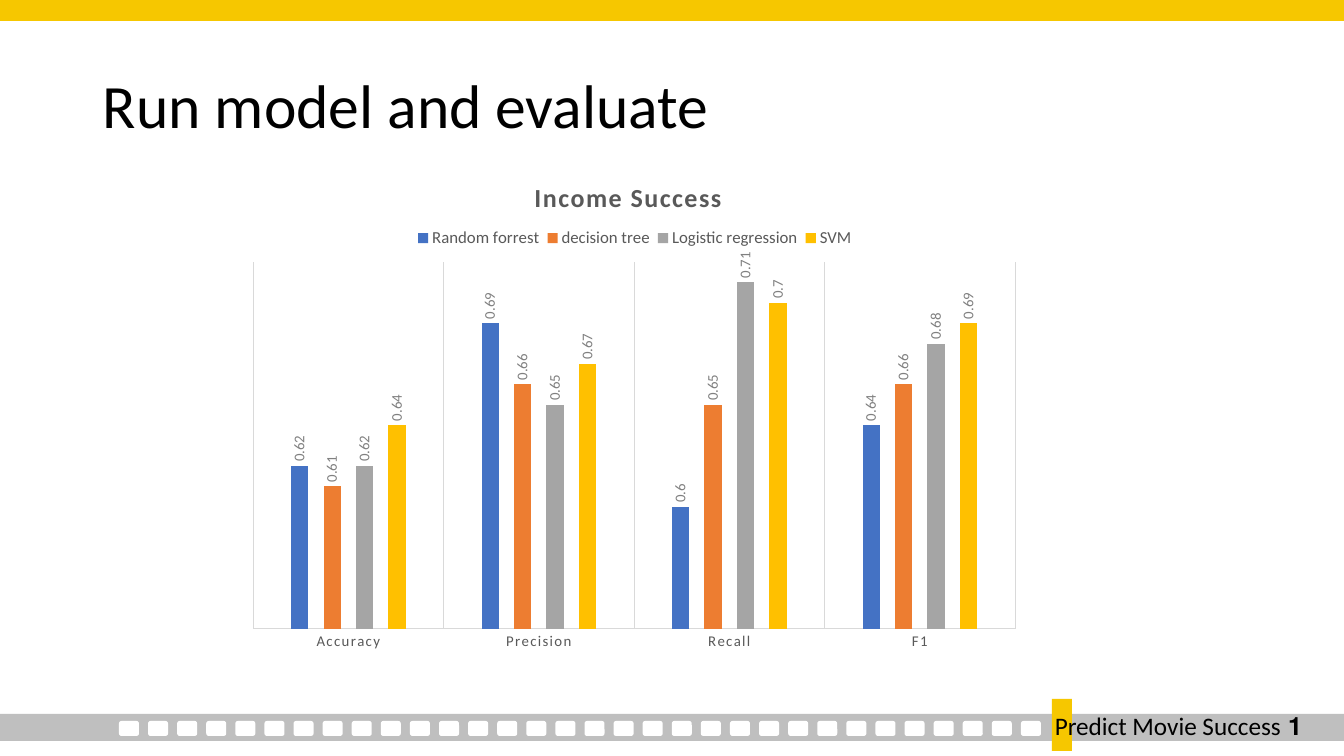
"""Build the model evaluation slide with its clustered column chart."""
from lxml.etree import SubElement
from pptx import Presentation
from pptx.chart.data import CategoryChartData
from pptx.dml.color import RGBColor
from pptx.enum.chart import XL_CHART_TYPE, XL_LABEL_POSITION, XL_LEGEND_POSITION, XL_TICK_MARK
from pptx.enum.shapes import MSO_SHAPE
from pptx.enum.text import MSO_ANCHOR, PP_ALIGN
from pptx.oxml import parse_xml
from pptx.oxml.ns import nsdecls, qn
from pptx.util import Emu, Pt

BLACK = RGBColor(0x00, 0x00, 0x00)
WHITE = RGBColor(0xFF, 0xFF, 0xFF)
YELLOW = RGBColor(0xF6, 0xC7, 0x00)
STRIP_GRAY = RGBColor(0xBF, 0xBF, 0xBF)
LINE_GRAY = RGBColor(0xD9, 0xD9, 0xD9)
TEXT_GRAY = RGBColor(0x59, 0x59, 0x59)
LABEL_GRAY = RGBColor(0x80, 0x80, 0x80)

TITLE = "Run model and evaluate"
FOOTER = [("1 ", True), ("Predict Movie Success", False)]
CHART_TITLE = "Income Success"
METRICS = ["Accuracy", "Precision", "Recall", "F1"]
MODELS = [
    ("Random forrest", (0.62, 0.69, 0.6, 0.64), RGBColor(0x44, 0x72, 0xC4)),
    ("decision tree", (0.61, 0.66, 0.65, 0.66), RGBColor(0xED, 0x7D, 0x31)),
    ("Logistic regression", (0.62, 0.65, 0.71, 0.68), RGBColor(0xA5, 0xA5, 0xA5)),
    ("SVM", (0.64, 0.67, 0.7, 0.69), RGBColor(0xFF, 0xC0, 0x00)),
]

PAGE = (1344, 756)
BARS = [
    ((0, 714, 1344, 27), STRIP_GRAY),
    ((0, 0, 1344, 21), YELLOW),
    ((1052, 699, 20, 52), YELLOW),
]
HOLE_COUNT, HOLE_FIRST, HOLE_LAST = 32, 119, 1021
HOLE_TOP, HOLE_SIZE = 721, (20, 15)
TITLE_BOX = (93, 36, 1159, 146)
FOOTER_BOX = (1036, 709, 276, 57)
CHART_BOX = (238, 146, 793, 516)
PLOT_BOX = (253, 262, 762, 367)
LEGEND_BOX = (410, 227, 450, 22)
CHART_TITLE_AT = (530, 175)


def px(value):
    return Emu(round(value * 12192000 / PAGE[0]))


def set_font(font, size, color, **extra):
    for name, value in {"name": "Calibri", "size": Pt(size), **extra}.items():
        setattr(font, name, value)
    font.color.rgb = color


def add_block(page, kind, box, color):
    shape = page.shapes.add_shape(kind, *map(px, box))
    shape.shadow.inherit = False
    shape.fill.solid()
    shape.fill.fore_color.rgb = color
    shape.line.fill.background()


def add_text(page, box, spans, size, anchor):
    frame = page.shapes.add_textbox(*map(px, box)).text_frame
    frame.word_wrap = True
    frame.vertical_anchor = anchor
    para = frame.paragraphs[0]
    para.line_spacing = 0.9
    for text, bold in spans:
        span = para.add_run()
        span.text = text
        set_font(span.font, size, BLACK, bold=bold)
    return para


def place(element, box, inner=False):
    """Fix a chart part at a box given in page px."""
    for old in element.findall(qn("c:layout")):
        element.remove(old)
    layout = parse_xml(f"<c:layout {nsdecls('c')}><c:manualLayout/></c:layout>")
    values = {"layoutTarget": "inner"} if inner else {}
    values.update(xMode="edge", yMode="edge")
    left, top, width, height = CHART_BOX
    values["x"] = round((box[0] - left) / width, 3)
    values["y"] = round((box[1] - top) / height, 3)
    if len(box) == 4:
        values["w"] = round(box[2] / width, 3)
        values["h"] = round(box[3] / height, 3)
    for tag, value in values.items():
        SubElement(layout[0], qn(f"c:{tag}")).set("val", str(value))
    overlay = element.find(qn("c:overlay"))
    if overlay is None:
        element.insert(0, layout)
    else:
        overlay.addprevious(layout)


def add_scores(page):
    data = CategoryChartData()
    data.categories = METRICS
    for name, values, _ in MODELS:
        data.add_series(name, values)
    chart = page.shapes.add_chart(XL_CHART_TYPE.COLUMN_CLUSTERED, *map(px, CHART_BOX), data).chart
    set_font(chart.font, 10, BLACK)

    chart.has_title = True
    title = chart.chart_title
    title.include_in_layout = False
    span = title.text_frame.paragraphs[0].add_run()
    span.text = CHART_TITLE
    set_font(span.font, 18.6, TEXT_GRAY, bold=True)
    span.font._element.set("spc", "100")
    place(title._element, CHART_TITLE_AT)

    chart.has_legend = True
    legend = chart.legend
    legend.position = XL_LEGEND_POSITION.TOP
    legend.include_in_layout = False
    set_font(legend.font, 12, TEXT_GRAY)
    place(legend._element, LEGEND_BOX)

    scores = chart.value_axis
    for name, value in {"minimum_scale": 0.54, "maximum_scale": 0.72,
                        "has_major_gridlines": False, "visible": False}.items():
        setattr(scores, name, value)
    metrics = chart.category_axis
    metrics.major_tick_mark = XL_TICK_MARK.NONE
    metrics.has_major_gridlines = True
    for line in (metrics.format.line, metrics.major_gridlines.format.line):
        line.color.rgb = LINE_GRAY
        line.width = Pt(0.75)
    set_font(metrics.tick_labels.font, 10.6, TEXT_GRAY)
    metrics.tick_labels.font._element.set("spc", "100")

    plot = chart.plots[0]
    for name, value in {"gap_width": 444, "overlap": -90, "vary_by_categories": False}.items():
        setattr(plot, name, value)
    for series, (_, _, color) in zip(plot.series, MODELS):
        series.format.fill.solid()
        series.format.fill.fore_color.rgb = color
        labels = series.data_labels
        labels.show_value = True
        labels.position = XL_LABEL_POSITION.OUTSIDE_END
        set_font(labels.font, 10.6, LABEL_GRAY)
        body = labels._element.find(f"{qn('c:txPr')}/{qn('a:bodyPr')}")
        body.set("rot", "-5400000")
        body.set("vert", "horz")
    place(chart._chartSpace.chart.plotArea, PLOT_BOX, inner=True)


def main():
    deck = Presentation()
    deck.slide_width, deck.slide_height = map(px, PAGE)
    page = deck.slides.add_slide(deck.slide_layouts[6])
    for box, color in BARS:
        add_block(page, MSO_SHAPE.RECTANGLE, box, color)
    step = (HOLE_LAST - HOLE_FIRST) / (HOLE_COUNT - 1)
    for index in range(HOLE_COUNT):
        box = (HOLE_FIRST + index * step, HOLE_TOP, *HOLE_SIZE)
        add_block(page, MSO_SHAPE.ROUNDED_RECTANGLE, box, WHITE)
    footer = add_text(page, FOOTER_BOX, FOOTER, 18, MSO_ANCHOR.TOP)
    footer.alignment = PP_ALIGN.RIGHT
    footer._p.get_or_add_pPr().set("rtl", "1")
    add_scores(page)
    add_text(page, TITLE_BOX, [(TITLE, False)], 44, MSO_ANCHOR.MIDDLE)
    deck.save("out.pptx")


if __name__ == "__main__":
    main()
